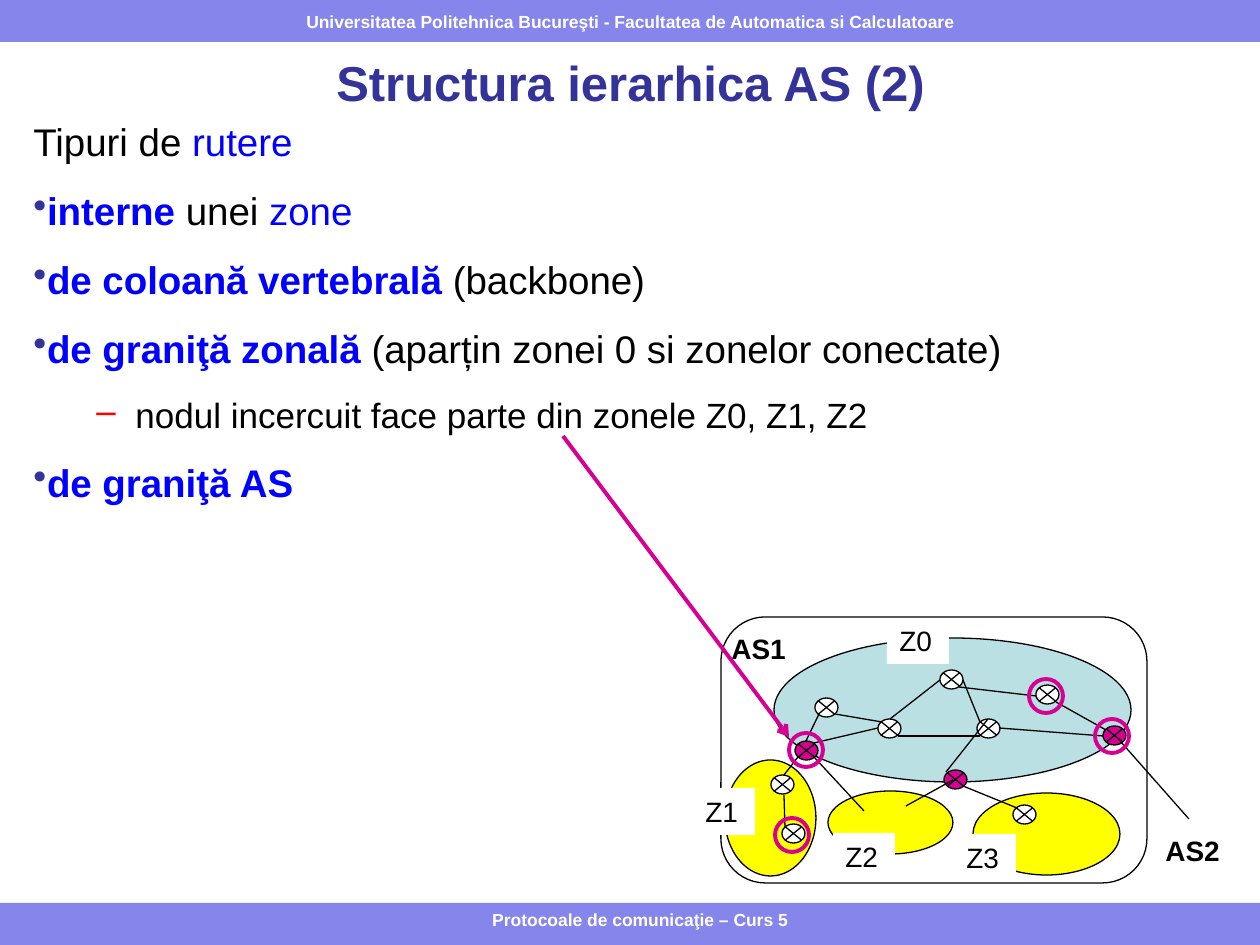
from typing import NamedTuple

from lxml import etree
from pptx import Presentation
from pptx import util as u
from pptx.dml.color import RGBColor
from pptx.enum import shapes, text
from pptx.oxml.ns import qn

PX = u.Inches(1) / 126
FONT = "Arial"
BLACK = RGBColor(0x00, 0x00, 0x00)
WHITE = RGBColor(0xFF, 0xFF, 0xFF)
BAND = RGBColor(0x85, 0x85, 0xEB)
NAVY = RGBColor(0x33, 0x33, 0x99)
BLUE = RGBColor(0x00, 0x00, 0xFF)
RED = RGBColor(0xFF, 0x00, 0x00)
MAGENTA = RGBColor(0xD6, 0x00, 0x93)
YELLOW = RGBColor(0xFF, 0xFF, 0x00)
TEAL = RGBColor(0xBB, 0xE0, 0xE3)
MSO = shapes.MSO_SHAPE
ALIGN = text.PP_ALIGN


class Box(NamedTuple):
    x: int
    y: int
    w: int
    h: int


class Node(NamedTuple):
    x: int
    y: int
    fill: RGBColor = WHITE


class Link(NamedTuple):
    x1: int
    y1: int
    x2: int
    y2: int


class Label(NamedTuple):
    words: str
    box: Box
    bold: bool = False


class Run(NamedTuple):
    words: str
    color: RGBColor = BLACK
    bold: bool = False


class Item(NamedTuple):
    runs: tuple[Run, ...]
    bullet: str = "•"
    bullet_color: RGBColor = NAVY
    size: int = 22
    level: int = 0
    margin: int = 0
    indent: int = 0


ITEMS = [
    Item((Run("Tipuri de "), Run("rutere", BLUE)), bullet=""),
    Item((Run("interne ", BLUE, True), Run("unei "), Run("zone", BLUE))),
    Item((Run("de coloană vertebrală ", BLUE, True), Run("(backbone)"))),
    Item((Run("de graniţă zonală ", BLUE, True),
          Run("(aparțin zonei 0 si zonelor conectate)"))),
    Item((Run("nodul incercuit face parte din zonele Z0, Z1, Z2"),),
         "–", RED, 20, 1, 102, -39),
    Item((Run("de graniţă AS", BLUE, True),)),
]
BACKBONE = Box(774, 638, 357, 144)
BACKBONE_NODES = [
    Node(795, 741, MAGENTA), Node(944, 770, MAGENTA), Node(1103, 726, MAGENTA),
    Node(815, 698), Node(878, 719), Node(940, 670), Node(977, 719), Node(1036, 685),
]
ZONES = [Box(725, 760, 91, 116), Box(828, 791, 125, 63), Box(973, 793, 147, 82)]
ZONE_NODES = [Node(1013, 805), Node(782, 824), Node(771, 775)]
LINKS = [
    Link(784, 775, 798, 757), Link(784, 795, 785, 827), Link(814, 757, 864, 811),
    Link(906, 806, 953, 780), Link(963, 786, 1017, 808), Link(1121, 742, 1189, 819),
    Link(806, 741, 819, 714), Link(835, 714, 882, 722), Link(814, 743, 878, 728),
    Link(988, 719, 946, 772), Link(898, 736, 980, 736), Link(890, 719, 940, 680),
    Link(963, 680, 980, 722), Link(959, 687, 1036, 696), Link(999, 728, 1103, 736),
    Link(1056, 702, 1106, 730),
]
AS_LABELS = [
    Label("AS1", Box(719, 625, 81, 47), True),
    Label("AS2", Box(1153, 827, 81, 47), True),
    Label("Z0", Box(887, 617, 62, 47)),
]
FRAME = Box(721, 617, 426, 266)
ZONE_LABELS = [
    Label("Z1", Box(693, 788, 62, 47)),
    Label("Z2", Box(833, 833, 62, 47)),
    Label("Z3", Box(954, 834, 62, 47)),
]
POINTER = Link(563, 436, 789, 737)
RINGS = [Box(x, y, 34, 34) for x, y in ((775, 818), (789, 733), (1029, 679), (1095, 719))]


def px(n: int) -> int:
    return u.Emu(round(n * PX))


def add_run(p, words: str, *, size: int, color: RGBColor = BLACK, bold: bool = False):
    r = p.add_run()
    r.text = words
    r.font.name, r.font.size, r.font.bold = FONT, u.Pt(size), bold
    r.font.color.rgb = color


def add_shape(s, kind, box: Box, fill=None, line=BLACK, width: float = 0.75):
    sp = s.shapes.add_shape(kind, *map(px, box))
    sp.shadow.inherit = False
    if fill is None:
        sp.fill.background()
    else:
        sp.fill.solid()
        sp.fill.fore_color.rgb = fill
    if line is None:
        sp.line.fill.background()
    else:
        sp.line.color.rgb = line
        sp.line.width = u.Pt(width)
    return sp


def add_text(sp, words: str, *, align=ALIGN.CENTER, anchor=text.MSO_ANCHOR.TOP, **fmt):
    tf = sp.text_frame
    tf.word_wrap, tf.vertical_anchor = True, anchor
    p = tf.paragraphs[0]
    p.alignment = align
    add_run(p, words, **fmt)
    return tf


def add_node(s, node: Node):
    add_shape(s, MSO.FLOWCHART_SUMMING_JUNCTION, Box(node.x, node.y, 23, 19), node.fill)


def add_label(s, label: Label):
    sp = add_shape(s, MSO.RECTANGLE, label.box, WHITE, None)
    tf = add_text(sp, label.words, align=ALIGN.LEFT, size=16, bold=label.bold)
    tf.margin_right = 0


def add_link(s, link: Link, color=BLACK, width: float = 0.75, head: str = ""):
    cx = s.shapes.add_connector(shapes.MSO_CONNECTOR.STRAIGHT, *map(px, link))
    cx.line.color.rgb = color
    cx.line.width = u.Pt(width)
    if head:
        etree.SubElement(cx.line._get_or_add_ln(), qn("a:tailEnd"), type=head)
    etree.SubElement(cx._element.spPr, qn("a:effectLst"))


def add_item(p, item: Item):
    p.level, p.space_after = item.level, u.Pt(13)
    pPr = p._p.get_or_add_pPr()
    pPr.set("marL", str(px(item.margin)))
    pPr.set("indent", str(px(item.indent)))
    if item.bullet:
        clr = etree.SubElement(pPr, qn("a:buClr"))
        etree.SubElement(clr, qn("a:srgbClr"), val=str(item.bullet_color))
        etree.SubElement(pPr, qn("a:buChar"), char=item.bullet)
    for run in item.runs:
        add_run(p, run.words, size=item.size, color=run.color, bold=run.bold)


def add_body(s, box: Box):
    tf = s.shapes.add_textbox(*map(px, box)).text_frame
    tf.word_wrap, tf.margin_top = True, px(10)
    for i, item in enumerate(ITEMS):
        add_item(tf.add_paragraph() if i else tf.paragraphs[0], item)


def add_diagram(s):
    add_shape(s, MSO.OVAL, BACKBONE, TEAL)
    for node in BACKBONE_NODES:
        add_node(s, node)
    for zone in ZONES:
        add_shape(s, MSO.OVAL, zone, YELLOW)
    for node in ZONE_NODES:
        add_node(s, node)
    for link in LINKS:
        add_link(s, link)
    for label in AS_LABELS:
        add_label(s, label)
    add_shape(s, MSO.ROUNDED_RECTANGLE, FRAME)
    for label in ZONE_LABELS:
        add_label(s, label)
    add_link(s, POINTER, MAGENTA, 2.25, "arrow")
    for ring in RINGS:
        add_shape(s, MSO.OVAL, ring, None, MAGENTA, 2.25)


def main():
    """Build the slide on the router types of a hierarchical AS."""
    prs = Presentation()
    prs.slide_width, prs.slide_height = px(1260), px(945)
    s = prs.slides.add_slide(prs.slide_layouts[6])
    middle = text.MSO_ANCHOR.MIDDLE
    add_shape(s, MSO.RECTANGLE, Box(0, 903, 1260, 42), BAND, None)
    header = add_shape(s, MSO.RECTANGLE, Box(0, 0, 1260, 42), BAND, None)
    add_text(header, "Universitatea Politehnica Bucureşti - Facultatea de Automatica si Calculatoare",
             anchor=middle, size=10, color=WHITE, bold=True)
    title = s.shapes.add_textbox(*map(px, Box(53, 48, 1155, 67)))
    add_text(title, "Structura ierarhica AS (2)", anchor=middle, size=28, color=NAVY, bold=True)
    add_body(s, Box(21, 108, 1227, 499))
    footer = s.shapes.add_textbox(*map(px, Box(325, 903, 630, 42)))
    add_text(footer, "Protocoale de comunicaţie – Curs 5", size=10, color=WHITE, bold=True)
    add_diagram(s)
    prs.save("out.pptx")


if __name__ == "__main__":
    main()
